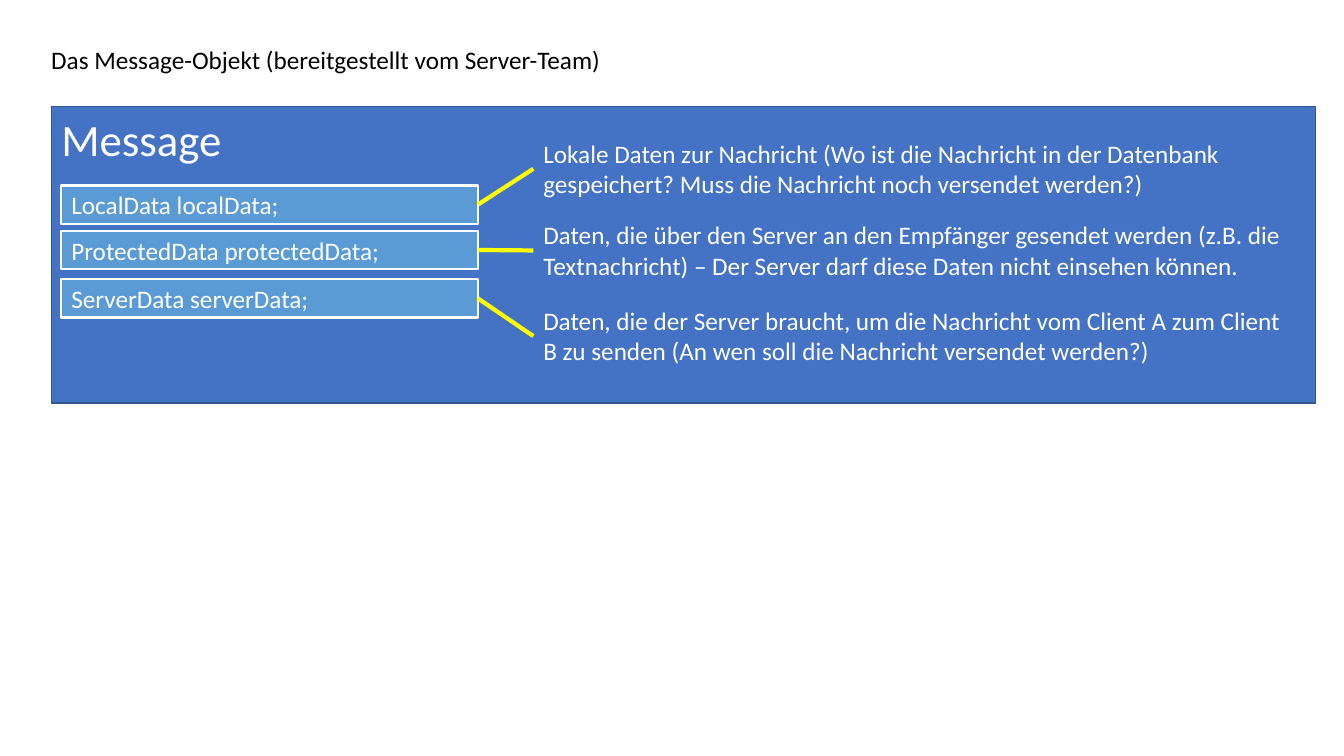
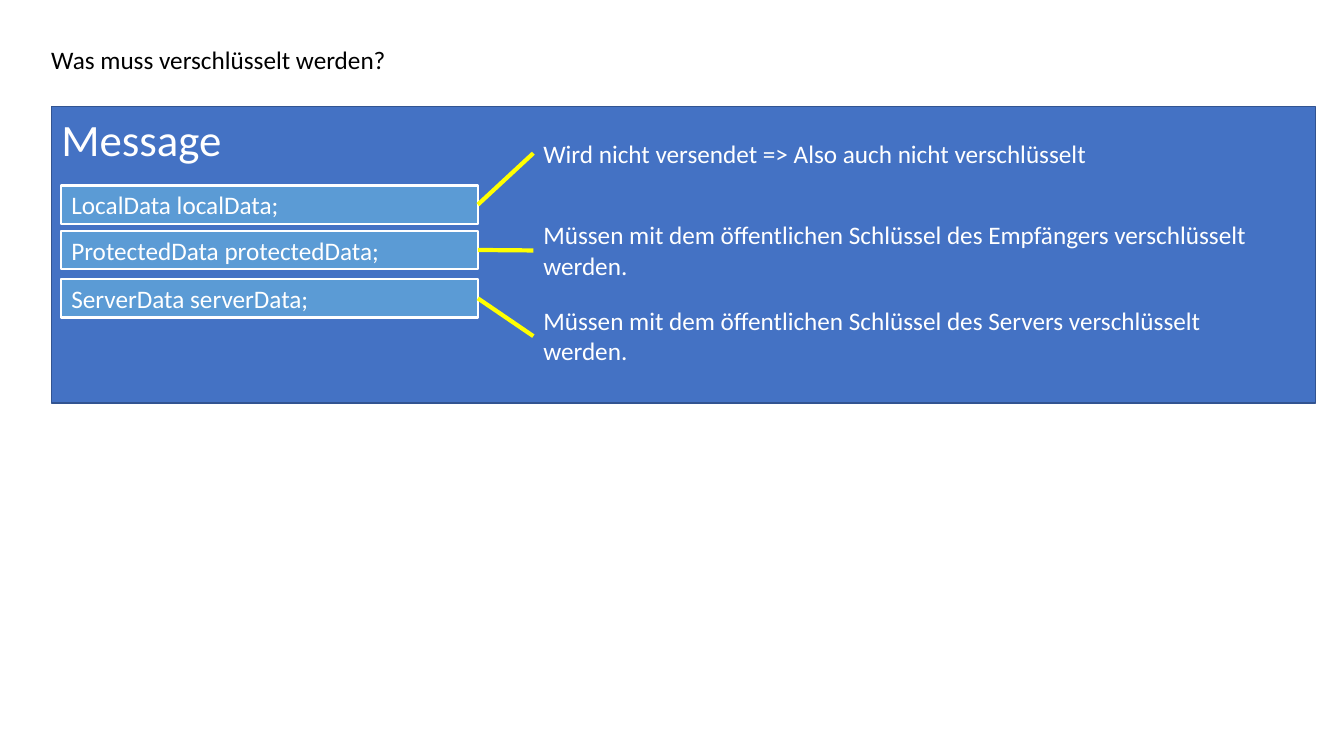
"""Build two slides on the Message object and the encryption of its fields."""
from lxml import etree
from pptx import Presentation
from pptx.dml.color import RGBColor
from pptx.enum.shapes import MSO_CONNECTOR, MSO_SHAPE
from pptx.enum.text import MSO_ANCHOR, MSO_AUTO_SIZE, PP_ALIGN
from pptx.oxml.ns import qn
from pptx.util import Inches, Pt

RECT = MSO_SHAPE.RECTANGLE
STRAIGHT = MSO_CONNECTOR.STRAIGHT
TOP, MIDDLE = MSO_ANCHOR.TOP, MSO_ANCHOR.MIDDLE
LEFT = PP_ALIGN.LEFT
GROW = MSO_AUTO_SIZE.SHAPE_TO_FIT_TEXT
LEFT_SITE, RIGHT_SITE = 1, 3

FONT = "Calibri"
COLORS = {
    "text": "000000",
    "white": "FFFFFF",
    "panel": "4472C4",
    "panel_line": "325491",
    "field": "5B9BD5",
    "link": "FFFF00",
}
NOTE_HEIGHTS = {1: 0.4, 2: 0.71}
FIELDS = [
    ("LocalData localData;", 1.84),
    ("ProtectedData protectedData;", 2.29),
    ("ServerData serverData;", 2.77),
]
NOTE_PLACES = [(1.32, 7.21), (2.13, 7.53), (2.98, 7.53)]
SLIDES = [
    ("Das Message-Objekt (bereitgestellt vom Server-Team)", [
        ("Lokale Daten zur Nachricht (Wo ist die Nachricht in der Datenbank "
         "gespeichert? Muss die Nachricht noch versendet werden?)", 2),
        ("Daten, die über den Server an den Empfänger gesendet werden (z.B. die "
         "Textnachricht) – Der Server darf diese Daten nicht einsehen können.", 2),
        ("Daten, die der Server braucht, um die Nachricht vom Client A zum Client "
         "B zu senden (An wen soll die Nachricht versendet werden?)", 2),
    ]),
    ("Was muss verschlüsselt werden?", [
        ("Wird nicht versendet => Also auch nicht verschlüsselt", 1),
        ("Müssen mit dem öffentlichen Schlüssel des Empfängers verschlüsselt "
         "werden.", 2),
        ("Müssen mit dem öffentlichen Schlüssel des Servers verschlüsselt "
         "werden.", 2),
    ]),
]


def rgb(name):
    return RGBColor.from_string(COLORS[name])


def set_text(sp, text, color, size=18, anchor=TOP):
    tf = sp.text_frame
    tf.text = text
    tf.word_wrap = True
    tf.vertical_anchor = anchor
    p = tf.paragraphs[0]
    p.alignment = LEFT
    font = p.runs[0].font
    font.name, font.size = FONT, Pt(size)
    font.color.rgb = rgb(color)


def add_text(s, text, x, y, w, h, color):
    sp = s.shapes.add_textbox(Inches(x), Inches(y), Inches(w), Inches(h))
    set_text(sp, text, color)
    sp.text_frame.auto_size = GROW
    return sp


def add_box(s, text, x, y, w, h, fill, line, line_width, size=18, anchor=TOP):
    sp = s.shapes.add_shape(RECT, Inches(x), Inches(y), Inches(w), Inches(h))
    sp.shadow.inherit = False
    sp.fill.solid()
    sp.fill.fore_color.rgb = rgb(fill)
    sp.line.color.rgb = rgb(line)
    sp.line.width = Pt(line_width)
    set_text(sp, text, "white", size, anchor)
    return sp


def add_link(s, field, note):
    link = s.shapes.add_connector(STRAIGHT, 0, 0, 0, 0)
    link.begin_connect(field, RIGHT_SITE)
    link.end_connect(note, LEFT_SITE)
    link.line.color.rgb = rgb("link")
    link.line.width = Pt(3)
    etree.SubElement(link._element.spPr, qn("a:effectLst"))


def add_message_slide(prs, title, notes):
    s = prs.slides.add_slide(prs.slide_layouts[6])
    add_text(s, title, 0.41, 0.39, 5.72, 0.4, "text")
    add_box(s, "Message", 0.51, 1.06, 12.54, 2.94, "panel", "panel_line", 1, size=32)
    for (name, y), (note_y, note_w), (text, lines) in zip(FIELDS, NOTE_PLACES, notes):
        field = add_box(s, name, 0.61, y, 4.13, 0.38, "field", "white", 1.5,
                        anchor=MIDDLE)
        note = add_text(s, text, 5.29, note_y, note_w, NOTE_HEIGHTS[lines], "white")
        add_link(s, field, note)


def main():
    prs = Presentation()
    prs.slide_width, prs.slide_height = Inches(13.33), Inches(7.5)
    for title, notes in SLIDES:
        add_message_slide(prs, title, notes)
    prs.save("out.pptx")


if __name__ == "__main__":
    main()
